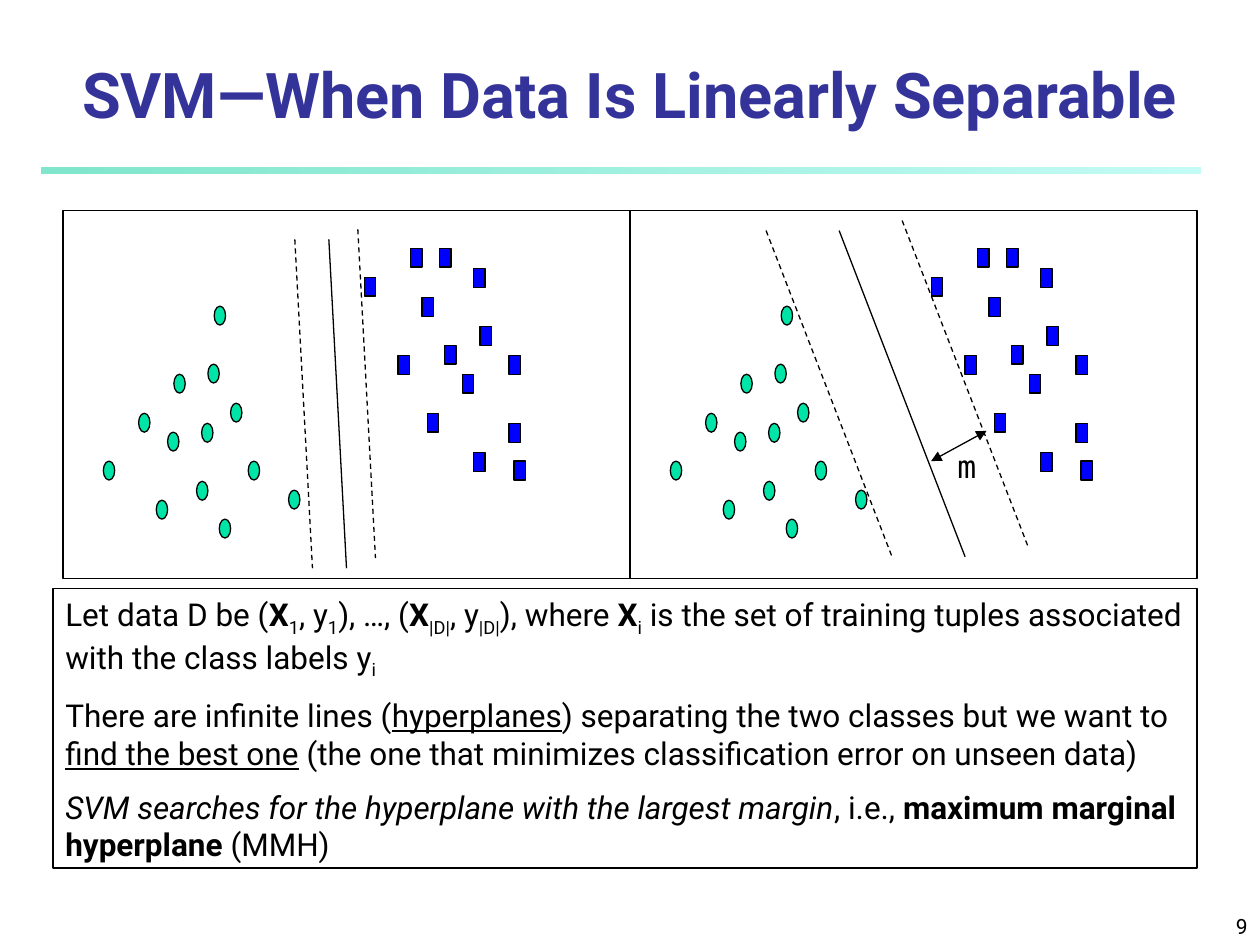
from lxml import etree
from pptx import Presentation
from pptx.dml.color import RGBColor
from pptx.enum.dml import MSO_LINE
from pptx.enum.shapes import MSO_CONNECTOR, MSO_SHAPE
from pptx.enum.text import MSO_ANCHOR, MSO_AUTO_SIZE, PP_ALIGN
from pptx.oxml.ns import qn
from pptx.util import Inches, Pt

RECT, OVAL = MSO_SHAPE.RECTANGLE, MSO_SHAPE.OVAL
STRAIGHT, DASH = MSO_CONNECTOR.STRAIGHT, MSO_LINE.DASH
LEFT, CENTER, RIGHT = PP_ALIGN.LEFT, PP_ALIGN.CENTER, PP_ALIGN.RIGHT
TOP, BOTTOM = MSO_ANCHOR.TOP, MSO_ANCHOR.BOTTOM
FIXED = MSO_AUTO_SIZE.NONE

FONT, MONO = "Roboto", "DejaVu Sans Mono"
BLACK, NAVY, BLUE, GREEN = "000000", "333399", "0000FF", "00E4A8"
STEP = 4.5

GREENS = [
    (1.24, 3.97), (1.33, 3.43), (0.82, 3.66), (1.1, 3.28), (1.56, 3.82),
    (1.38, 2.97), (1.6, 3.36), (1.65, 2.89), (1.83, 3.2), (1.97, 3.66),
    (1.74, 4.12), (2.29, 3.89), (1.7, 2.43),
]
BLUES = [
    (3.16, 2.82), (2.89, 2.2), (3.26, 1.97), (3.39, 3.28), (3.35, 2.36),
    (3.53, 2.74), (3.49, 1.97), (3.76, 2.13), (3.67, 2.97), (3.81, 2.59),
    (3.76, 3.59), (4.04, 2.82), (4.04, 3.36), (4.08, 3.66),
]
PANELS = [
    ((0.14, 2.61), [(2.84, 1.82, DASH), (2.34, 1.9, DASH), (2.61, 1.9, None)]),
    ((1, 2.59), [(6.08, 1.83, DASH), (7.16, 1.75, DASH), (6.66, 1.83, None)]),
]
NOTES = [
    [("Let data D be (", ""), ("X", "b"), ("1", "s"), (", y", ""), ("1", "s"),
     ("), …, (", ""), ("X", "b"), ("|D|", "s"), (", y", ""), ("|D|", "s"),
     ("), where ", ""), ("X", "b"), ("i", "s"),
     (" is the set of training tuples associated with the class labels y", ""),
     ("i", "s")],
    [("There are infinite lines (", ""), ("hyperplanes", "u"),
     (") separating the two classes but we want to ", ""),
     ("find the best one", "u"),
     (" (the one that minimizes classification error on unseen data)", "")],
    [("SVM searches for the hyperplane with the largest margin", "i"),
     (", i.e., ", ""), ("maximum marginal hyperplane", "b"), (" (MMH)", "")],
]


def color(code):
    return RGBColor.from_string(code)


def place(shape, *box):
    shape.left, shape.top, shape.width, shape.height = map(Inches, box)


def style(run, size, font=FONT, code=BLACK, mark=""):
    run.font.name, run.font.size = font, Pt(size)
    run.font.color.rgb = color(code)
    run.font.bold = mark == "b"
    run.font.italic = mark == "i"
    run.font.underline = mark == "u"
    if mark == "s":
        run.font._element.set("baseline", "-25000")


def draw(shapes, kind, box, fill=None):
    shape = shapes.add_shape(kind, *map(Inches, box))
    shape.shadow.inherit = False
    if fill:
        shape.fill.solid()
        shape.fill.fore_color.rgb = color(fill)
    else:
        shape.fill.background()
    shape.line.color.rgb = color(BLACK)
    shape.line.width = Pt(0.75)
    return shape


def rule(shapes, start, end, dash=None, arrow=False):
    line = shapes.add_connector(STRAIGHT, *map(Inches, start + end))
    line.line.color.rgb = color(BLACK)
    line.line.width = Pt(0.75)
    if dash:
        line.line.dash_style = dash
    props = line._element.spPr
    if arrow:
        for tag in ("a:headEnd", "a:tailEnd"):
            etree.SubElement(props.find(qn("a:ln")), qn(tag), type="triangle")
    etree.SubElement(props, qn("a:effectLst"))


def label(shapes, text, box, size, font, align=LEFT, anchor=TOP):
    shape = shapes.add_textbox(*map(Inches, box))
    frame = shape.text_frame
    frame.word_wrap = True
    frame.vertical_anchor = anchor
    frame.text = text
    para = frame.paragraphs[0]
    para.alignment = align
    style(para.runs[0], size, font)


def title(shape, text):
    place(shape, 0, 0.42, 10, 0.67)
    frame = shape.text_frame
    frame.text = text
    frame.auto_size = FIXED
    frame.vertical_anchor = BOTTOM
    frame.paragraphs[0].alignment = CENTER
    style(frame.paragraphs[0].runs[0], 36, FONT, NAVY, "b")


def bar(shapes):
    shape = draw(shapes, RECT, (0.33, 1.33, 9.2, 0.05))
    shape.line.fill.background()
    shape.fill.gradient()
    shape.fill.gradient_angle = 0
    stops = shape.fill.gradient_stops
    for stop, code in zip(stops, ("00CE98", "8FF9EF")):
        stop.color.rgb = color(code)
    tints = shape._element.spPr.iter(qn("a:srgbClr"))
    for tint, alpha in zip(list(tints), ("50000", "52000")):
        etree.SubElement(tint, qn("a:alpha"), val=alpha)


def panel(shapes, shift, slope, lines):
    group = shapes.add_group_shape().shapes
    for kind, fill, spots in ((OVAL, GREEN, GREENS), (RECT, BLUE, BLUES)):
        for x, y in spots:
            draw(group, kind, (x + shift, y, 0.09, 0.15), fill)
    draw(group, RECT, (0.5 + shift, 1.67, STEP, 2.92))
    for x, y, dash in lines:
        rule(group, (x, y), (x + slope[0], y + slope[1]), dash)


def notes(shapes):
    frame = draw(shapes, RECT, (0.42, 4.67, 9.08, 2.22)).text_frame
    frame.word_wrap = True
    frame.vertical_anchor = TOP
    for index, parts in enumerate(NOTES):
        para = frame.add_paragraph() if index else frame.paragraphs[0]
        para.alignment = LEFT
        para.space_before = Pt(9)
        for text, mark in parts:
            run = para.add_run()
            run.text = text
            style(run, 18, mark=mark)


def main():
    deck = Presentation()
    deck.slide_width, deck.slide_height = Inches(10), Inches(7.5)
    slide = deck.slides.add_slide(deck.slide_layouts[5])
    shapes = slide.shapes
    bar(shapes)
    label(shapes, "9", (7.92, 7.08, 2.08, 0.42), 12, FONT, RIGHT, BOTTOM)
    title(shapes.title, "SVM—When Data Is Linearly Separable")
    for index, (slope, lines) in enumerate(PANELS):
        panel(shapes, index * STEP, slope, lines)
    rule(shapes, (7.39, 3.66), (7.83, 3.42), arrow=True)
    label(shapes, "m", (7.5, 3.5, 0.58, 0.4), 18, MONO)
    notes(shapes)
    deck.save("out.pptx")


if __name__ == "__main__":
    main()
